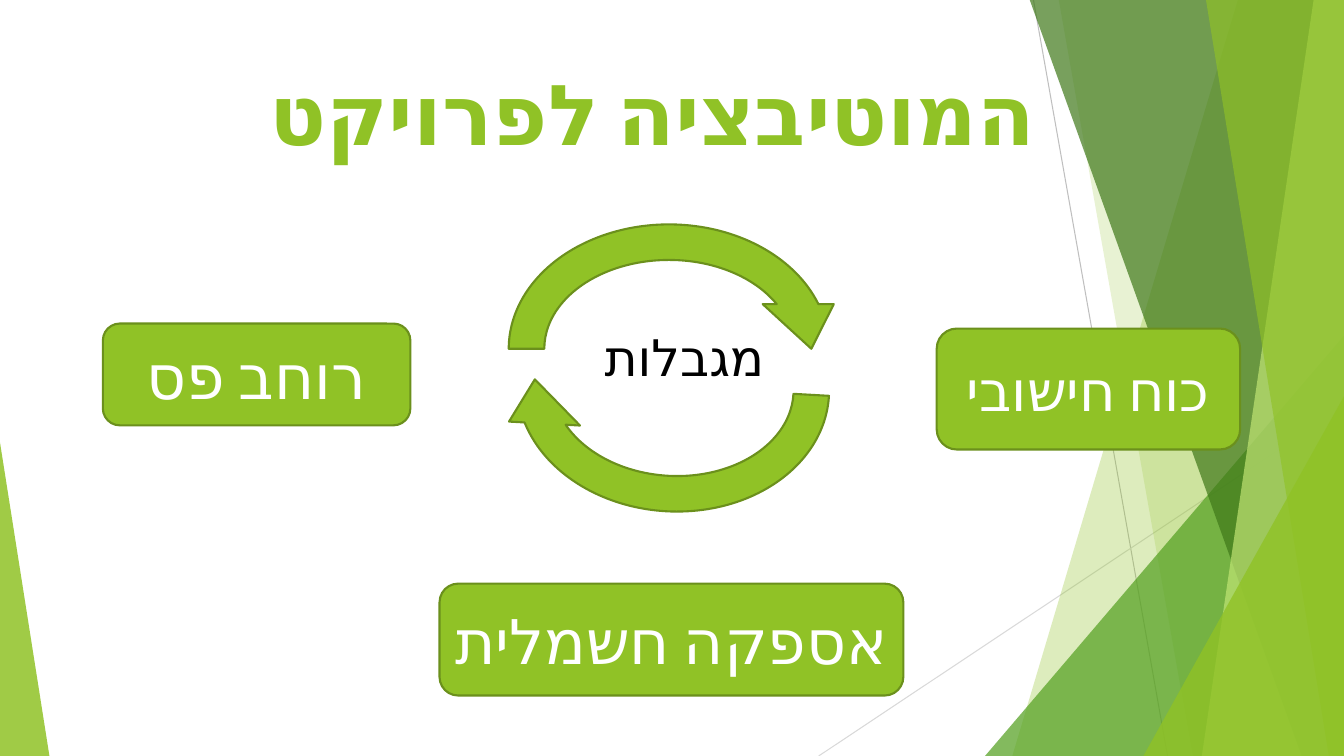
from dataclasses import dataclass

from lxml import etree
from pptx import Presentation
from pptx.dml.color import RGBColor
from pptx.enum.lang import MSO_LANGUAGE_ID as Language
from pptx.enum.shapes import MSO_CONNECTOR as Connector, MSO_SHAPE as Shape
from pptx.enum.text import MSO_ANCHOR as Anchor, PP_ALIGN as Align
from pptx.oxml.ns import qn
from pptx.util import Inches, Pt


@dataclass(frozen=True)
class Theme:
    font: str = "Cabin"
    green: str = "90C226"
    outline: str = "6B901C"
    leaf: str = "54A021"
    forest: str = "3F7819"
    lime: str = "C0E474"
    white: str = "FFFFFF"
    black: str = "000000"
    title: int = 60
    center: int = 36
    small_label: int = 40
    label: int = 44


theme = Theme()


def paint(shape, color, opacity=100, outline=None):
    shape.shadow.inherit = False
    shape.fill.solid()
    shape.fill.fore_color.rgb = RGBColor.from_string(color)
    if opacity < 100:
        solid = shape.fill.fore_color._xFill
        alpha = etree.SubElement(solid[0], qn("a:alpha"))
        alpha.set("val", str(opacity * 1000))
    if outline:
        shape.line.color.rgb = RGBColor.from_string(outline)
        shape.line.width = Pt(1.5)
    else:
        shape.line.fill.background()


def write(shape, text, size, color, align=Align.CENTER, anchor=Anchor.MIDDLE, bold=False):
    frame = shape.text_frame
    frame.word_wrap = True
    frame.vertical_anchor = anchor
    para = frame.paragraphs[0]
    para.alignment = align
    para._p.get_or_add_pPr().set("rtl", "1")
    span = para.add_run()
    span.text = text
    span.font.name = theme.font
    span.font.size = Pt(size)
    span.font.bold = bold
    span.font.color.rgb = RGBColor.from_string(color)
    span.font.language_id = Language.HEBREW
    script_font = etree.SubElement(span.font._element, qn("a:cs"))
    script_font.set("typeface", theme.font)
    return para


deck = Presentation()
deck.slide_width, deck.slide_height = Inches(13.33), Inches(7.5)
page = deck.slides.add_slide(deck.slide_layouts[5])

# Background: thin crossing lines
backdrop = page.shapes.add_group_shape().shapes
for x1, y1, x2, y2, color in [
    (10.25, 0, 11.58, 7.5, "BFBFBF"),
    (13.33, 4.03, 8.12, 7.5, "D9D9D9"),
]:
    line = backdrop.add_connector(
        Connector.STRAIGHT, Inches(x1), Inches(y1), Inches(x2), Inches(y2))
    line.line.color.rgb = RGBColor.from_string(color)
    line.line.width = Pt(0.75)
    etree.SubElement(line._element.spPr, qn("a:effectLst"))

# Background: facets, from back to front.
# A band runs from its top x to its bottom x and fills out to the right edge;
# a triangle has left, top, width, height and the place of its apex.
for kind, place, color, opacity in [
    ("band", (12.28, 10.04), theme.green, 30),
    ("band", (10.5, 11.83), theme.green, 20),
    ("triangle", (9.77, 3.33, 3.56, 4.17, 1), theme.leaf, 72),
    ("band", (10.21, 12.91), theme.forest, 70),
    ("band", (13.03, 11.92), theme.lime, 70),
    ("band", (11.96, 13.18), theme.green, 65),
    ("triangle", (11.34, 3.93, 1.99, 3.57, 1), theme.green, 80),
    ("triangle", (0, 4.39, 0.49, 3.11, 0), theme.green, 85),
]:
    if kind == "band":
        top_x, bottom_x = place
        outline = backdrop.build_freeform(Inches(top_x), Inches(-0.01))
        outline.add_line_segments([
            (Inches(13.33), Inches(-0.01)),
            (Inches(13.33), Inches(7.5)),
            (Inches(bottom_x), Inches(7.5)),
        ], close=True)
        facet = outline.convert_to_shape()
    else:
        *bounds, apex = place
        facet = backdrop.add_shape(Shape.ISOSCELES_TRIANGLE, *map(Inches, bounds))
        facet.adjustments[0] = apex
    paint(facet, color, opacity)

# Title, in front of the background
title = page.shapes.title
page.shapes.element.append(title.element)
title.left, title.top, title.width, title.height = map(Inches, (1.06, 0.56, 10.83, 1.62))
write(title, "המוטיבציה לפרויקט", theme.title, theme.green, anchor=Anchor.TOP, bold=True)

# Word in the middle of the cycle
center = page.shapes.add_textbox(*map(Inches, (5.87, 3.19, 1.81, 0.79)))
para = write(center, "מגבלות", theme.center, theme.black, Align.RIGHT, Anchor.TOP)
para.space_before = Pt(10)

# The three limits
for text, size, bounds in [
    ("כוח חישובי", theme.small_label, (9.29, 3.26, 3.01, 1.2)),
    ("רוחב פס", theme.label, (1.02, 3.21, 3.05, 1.01)),
    ("אספקה חשמלית", theme.label, (4.36, 5.79, 4.6, 1.11)),
]:
    box = page.shapes.add_shape(Shape.ROUNDED_RECTANGLE, *map(Inches, bounds))
    paint(box, theme.green, outline=theme.outline)
    write(box, text, size, theme.white)

# Cycle arrows
for bounds, rotation in [
    ((4.87, 2.05, 3.53, 2.82), 0),
    ((4.95, 2.43, 3.45, 2.82), 183.2),
]:
    arrow = page.shapes.add_shape(Shape.CIRCULAR_ARROW, *map(Inches, bounds))
    arrow.rotation = rotation
    paint(arrow, theme.green, outline=theme.outline)

deck.save("out.pptx")
